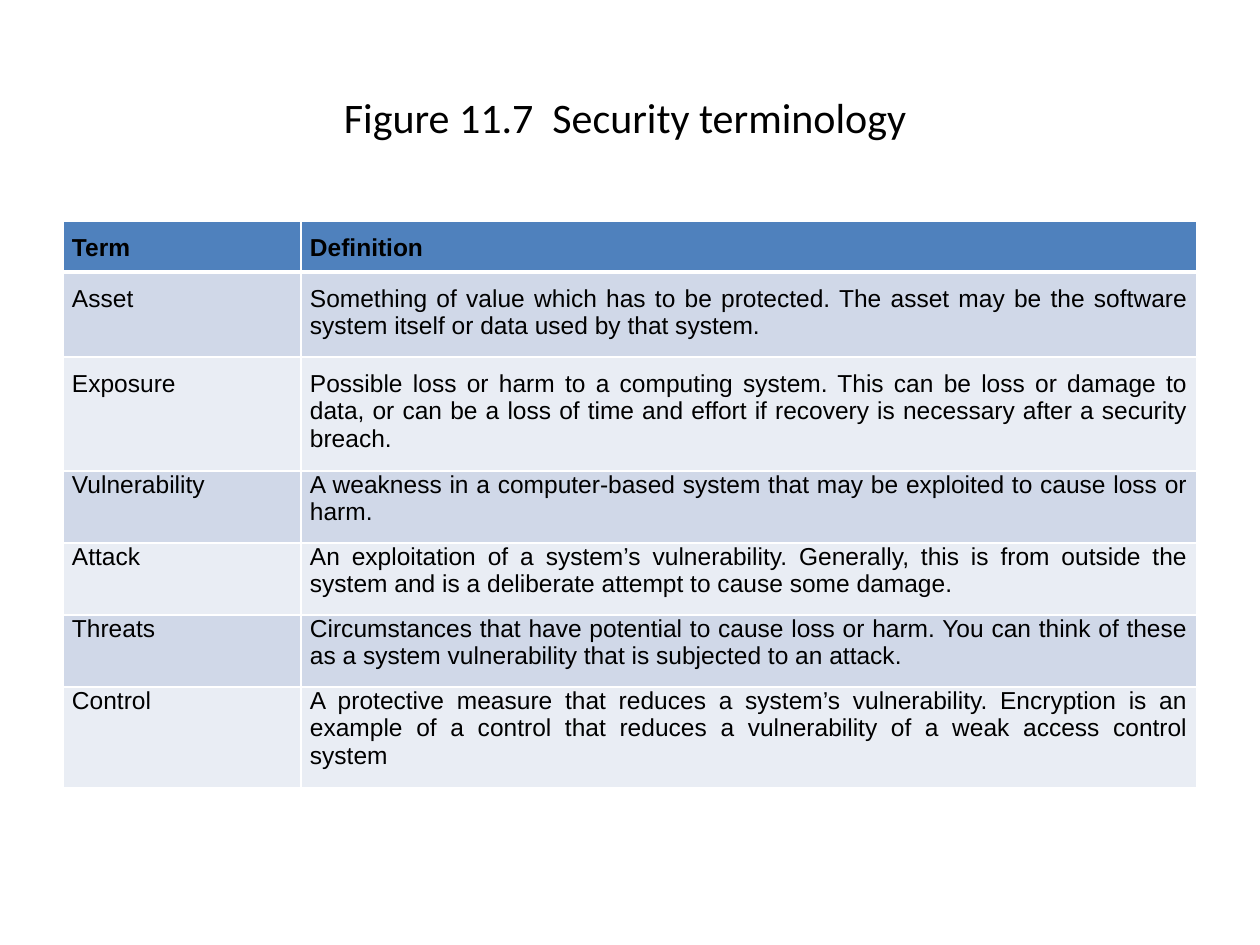
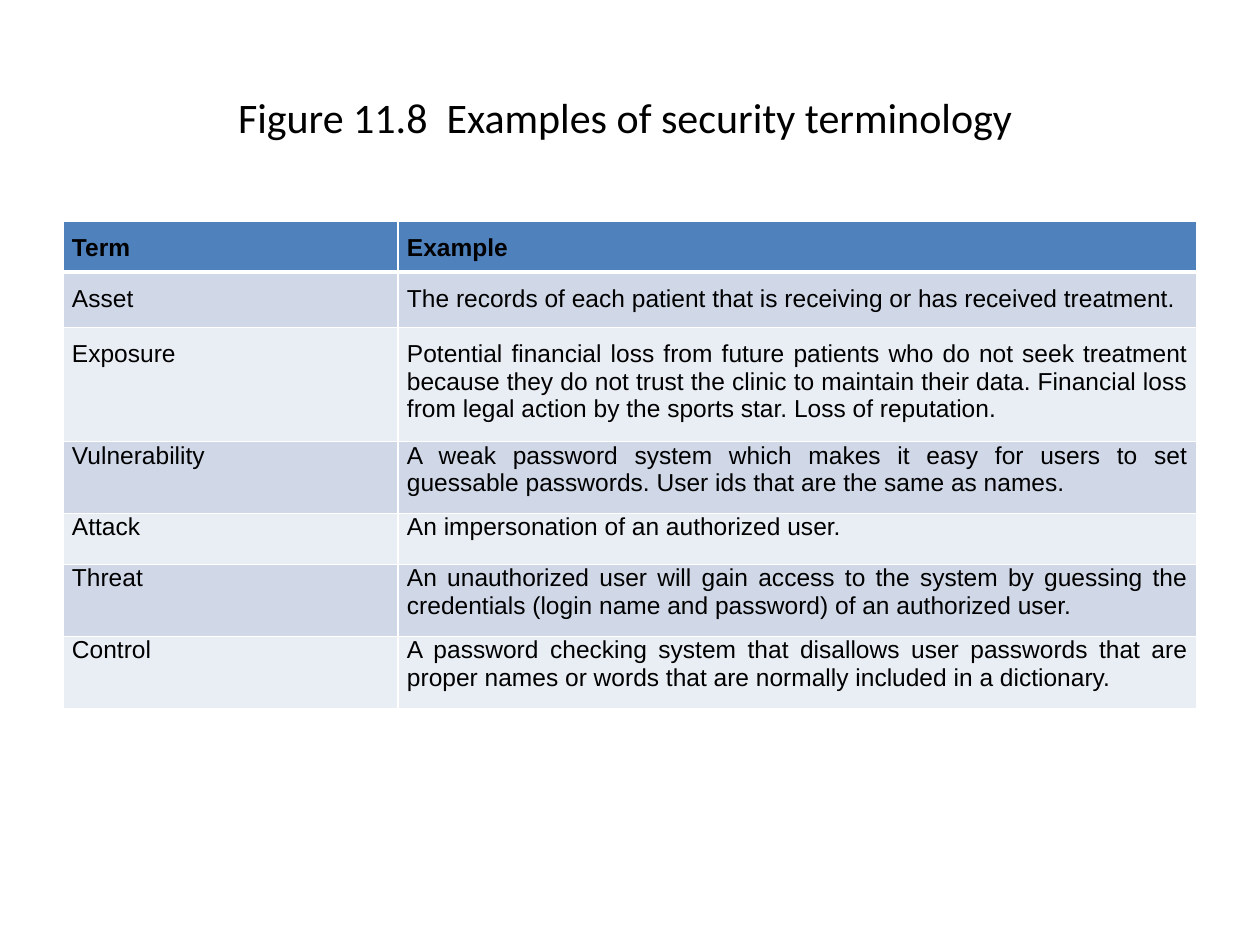
"""Build two slides of security terminology, each a title above a table."""
from dataclasses import dataclass

from lxml import etree
from pptx import Presentation
from pptx import util as u
from pptx.dml.color import RGBColor
from pptx.enum import text
from pptx.oxml.ns import qn

PIXELS_PER_INCH = 126
SLIDE_SIZE = (1260, 945)
TITLE_BOX = (63, 38, 1134, 158)
TABLE_LEFT, TABLE_TOP, TABLE_WIDTH = 63, 221, 1134
ROW_HEIGHT = 51
SIDE_MARGIN, EDGE_MARGIN = 9, 13


@dataclass(frozen=True)
class Theme:
    """Colours, fonts and point sizes shared by the slides."""

    ink: str = "000000"
    header: str = "4F81BD"
    bands: tuple[str, str] = ("D0D8E8", "E9EDF4")
    border: str = "FFFFFF"
    title_font: str = "Calibri"
    body_font: str = "Arial"
    title_size: int = 24
    body_size: int = 14
    border_width: int = 1
    header_border_width: int = 3


@dataclass(frozen=True)
class TermSlide:
    """Title, term column width and table rows, header first."""

    title: str
    term_width: int
    rows: list[tuple[str, str]]


THEME = Theme()

TERM_SLIDES = [
    TermSlide("Figure 11.7  Security terminology ", 238, [
        ("Term", "Definition"),
        ("Asset", "Something of value which has to be protected. The asset may be "
                  "the software system itself or data used by that system."),
        ("Exposure", "Possible loss or harm to a computing system. This can be loss "
                     "or damage to data, or can be a loss of time and effort if "
                     "recovery is necessary after a security breach."),
        ("Vulnerability", "A weakness in a computer-based system that may be "
                          "exploited to cause loss or harm."),
        ("Attack", "An exploitation of a system’s vulnerability. Generally, this is "
                   "from outside the system and is a deliberate attempt to cause "
                   "some damage."),
        ("Threats", "Circumstances that have potential to cause loss or harm. You "
                    "can think of these as a system vulnerability that is subjected "
                    "to an attack."),
        ("Control", "A protective measure that reduces a system’s vulnerability. "
                    "Encryption is an example of a control that reduces a "
                    "vulnerability of a weak access control system"),
    ]),
    TermSlide("Figure 11.8  Examples of security terminology ", 335, [
        ("Term", "Example"),
        ("Asset", "The records of each patient that is receiving or has received "
                  "treatment."),
        ("Exposure", "Potential financial loss from future patients who do not seek "
                     "treatment because they do not trust the clinic to maintain "
                     "their data. Financial loss from legal action by the sports "
                     "star. Loss of reputation."),
        ("Vulnerability", "A weak password system which makes it easy for users to "
                          "set guessable passwords. User ids that are the same as "
                          "names."),
        ("Attack", "An impersonation of an authorized user."),
        ("Threat", "An unauthorized user will gain access to the system by guessing "
                   "the credentials (login name and password) of an authorized user."),
        ("Control", "A password checking system that disallows user passwords that "
                    "are proper names or words that are normally included in a "
                    "dictionary."),
    ]),
]


def px(pixels: int) -> int:
    """Turn pixels into EMU."""
    return u.Emu(round(pixels * u.Inches(1) / PIXELS_PER_INCH))


def set_text(text_frame, content: str, font_name: str, size: int,
             alignment, bold: bool = False) -> None:
    """Fill a text frame with one formatted paragraph."""
    text_frame.text = content
    paragraph = text_frame.paragraphs[0]
    paragraph.alignment = alignment
    for run in paragraph.runs:
        run.font.name = font_name
        run.font.size = u.Pt(size)
        run.font.bold = bold
        run.font.color.rgb = RGBColor.from_string(THEME.ink)


def add_title(slide, title: str) -> None:
    """Add the centred slide title."""
    text_frame = slide.shapes.add_textbox(*map(px, TITLE_BOX)).text_frame
    text_frame.word_wrap = True
    text_frame.vertical_anchor = text.MSO_ANCHOR.MIDDLE
    set_text(text_frame, title, THEME.title_font, THEME.title_size,
             text.PP_ALIGN.CENTER)


def set_borders(cell, top: int, bottom: int) -> None:
    """Draw the four cell borders; lines must precede the fill in the XML."""
    properties = cell._tc.get_or_add_tcPr()
    widths = {"lnL": THEME.border_width, "lnR": THEME.border_width,
              "lnT": top, "lnB": bottom}
    for position, (side, width) in enumerate(widths.items()):
        line = etree.Element(qn(f"a:{side}"), w=str(u.Pt(width)))
        fill = etree.SubElement(line, qn("a:solidFill"))
        etree.SubElement(fill, qn("a:srgbClr"), val=THEME.border)
        properties.insert(position, line)


def format_cell(cell, content: str, row_index: int) -> None:
    """Write a cell and style it by its row."""
    is_header = row_index == 0
    cell.margin_left = cell.margin_right = px(SIDE_MARGIN)
    cell.margin_top = px(EDGE_MARGIN if row_index < 3 else 0)
    cell.margin_bottom = px(0 if is_header else EDGE_MARGIN)
    set_text(cell.text_frame, content, THEME.body_font, THEME.body_size,
             text.PP_ALIGN.JUSTIFY, bold=is_header)
    colour = THEME.header if is_header else THEME.bands[(row_index - 1) % 2]
    cell.fill.solid()
    cell.fill.fore_color.rgb = RGBColor.from_string(colour)
    set_borders(
        cell,
        top=THEME.header_border_width if row_index == 1 else THEME.border_width,
        bottom=THEME.header_border_width if is_header else THEME.border_width,
    )


def add_term_table(slide, term_slide: TermSlide) -> None:
    """Add the two-column table of terms; rows grow with their text."""
    rows = term_slide.rows
    table = slide.shapes.add_table(
        len(rows), 2, px(TABLE_LEFT), px(TABLE_TOP),
        px(TABLE_WIDTH), px(ROW_HEIGHT * len(rows))).table
    table.horz_banding = False
    table.columns[0].width = px(term_slide.term_width)
    table.columns[1].width = px(TABLE_WIDTH - term_slide.term_width)
    for row_index, row in enumerate(rows):
        for column_index, content in enumerate(row):
            format_cell(table.cell(row_index, column_index), content, row_index)


def main() -> None:
    """Build and save the presentation."""
    presentation = Presentation()
    presentation.slide_width, presentation.slide_height = map(px, SLIDE_SIZE)
    blank_layout = presentation.slide_layouts[6]
    for term_slide in TERM_SLIDES:
        slide = presentation.slides.add_slide(blank_layout)
        add_title(slide, term_slide.title)
        add_term_table(slide, term_slide)
    presentation.save("out.pptx")


main()
